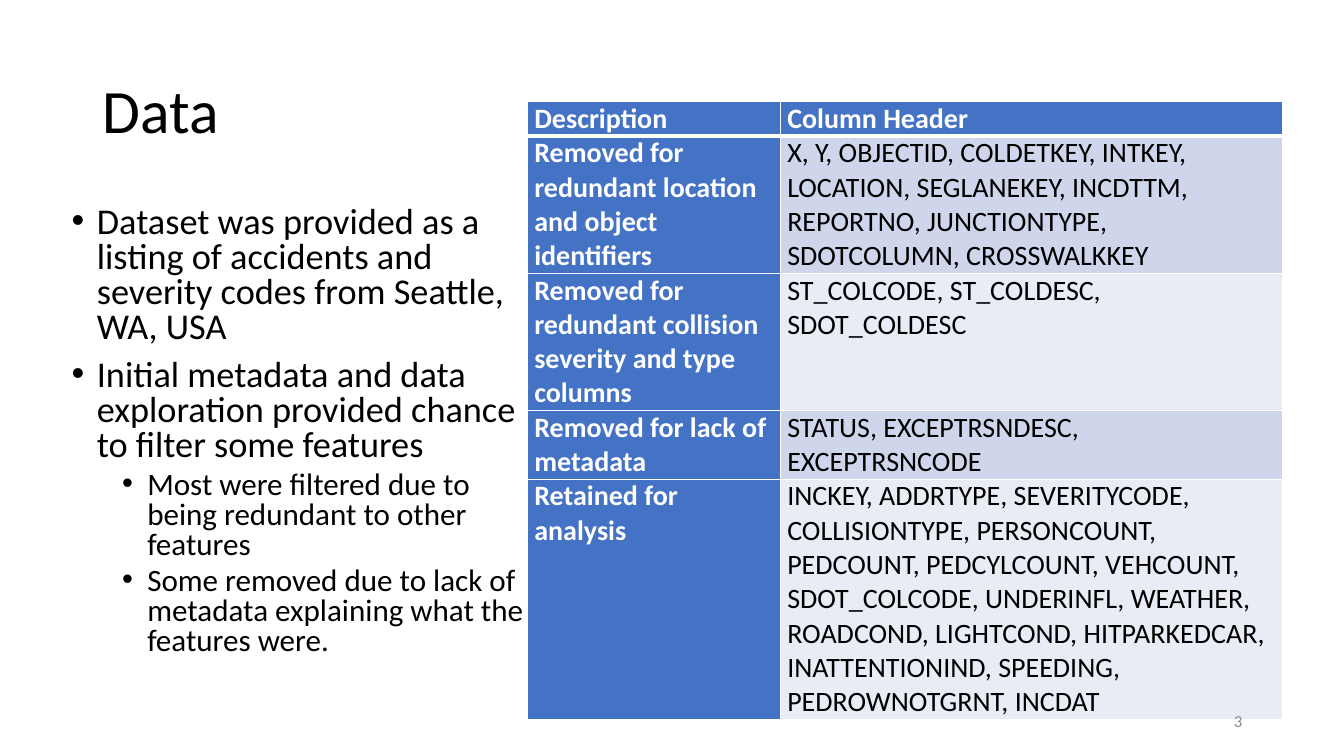
"""Build the slide on the data set and its filtered columns."""
from dataclasses import dataclass

from lxml.etree import SubElement
from pptx import Presentation
from pptx.dml.color import RGBColor
from pptx.enum.text import MSO_ANCHOR, MSO_AUTO_SIZE, PP_ALIGN
from pptx.oxml.ns import qn
from pptx.util import Inches, Pt

SLIDE_WIDTH, SLIDE_HEIGHT = Inches(13.33), Inches(7.5)


@dataclass(frozen=True)
class Theme:
    """Font, colours and type sizes of the slide."""
    font: str = "Calibri"
    ink: str = "000000"
    paper: str = "FFFFFF"
    accent: str = "4472C4"
    bands: tuple[str, str] = ("CFD5EA", "E9EBF5")
    muted: str = "8C8C8C"
    title_size: float = 44
    bullet_sizes: tuple[float, float] = (25.9, 22.2)
    table_size: float = 20
    number_size: float = 12


@dataclass(frozen=True)
class Box:
    """A rectangle in percent of the slide's width and height."""
    left: float
    top: float
    width: float
    height: float

    def lengths(self) -> tuple[int, int, int, int]:
        """Return left, top, width and height as slide lengths."""
        return (int(SLIDE_WIDTH * self.left / 100), int(SLIDE_HEIGHT * self.top / 100),
                int(SLIDE_WIDTH * self.width / 100), int(SLIDE_HEIGHT * self.height / 100))


@dataclass(frozen=True)
class Bullet:
    """A list item and its level."""
    text: str
    level: int = 0


@dataclass(frozen=True)
class Feature:
    """A table row and the number of text lines it holds."""
    description: str
    columns: str
    lines: int


THEME = Theme()
TITLE_BOX = Box(6.9, 5.33, 86.25, 19.33)
BODY_BOX = Box(4.58, 26.67, 35.78, 63.47)
TABLE_BOX = Box(39.23, 13.47, 56.19, 80)
NUMBER_BOX = Box(70.67, 92.67, 22.5, 5.33)
DESCRIPTION_SHARE = 0.335
LINE_HEIGHT = Inches(0.34)

BULLETS = (
    Bullet("Dataset was provided as a listing of accidents and severity codes from Seattle, WA, USA"),
    Bullet("Initial metadata and data exploration provided chance to filter some features"),
    Bullet("Most were filtered due to being redundant to other features", 1),
    Bullet("Some removed due to lack of metadata explaining what the features were.", 1),
)
FEATURES = (
    Feature("Description", "Column Header", 1),
    Feature("Removed for redundant location and object identifiers",
            "X, Y, OBJECTID, COLDETKEY, INTKEY, LOCATION, SEGLANEKEY, INCDTTM, REPORTNO, "
            "JUNCTIONTYPE, SDOTCOLUMN, CROSSWALKKEY", 4),
    Feature("Removed for redundant collision severity and type columns",
            "ST_COLCODE, ST_COLDESC, SDOT_COLDESC", 4),
    Feature("Removed for lack of metadata", "STATUS, EXCEPTRSNDESC, EXCEPTRSNCODE", 2),
    Feature("Retained for analysis",
            "INCKEY, ADDRTYPE, SEVERITYCODE, COLLISIONTYPE, PERSONCOUNT, PEDCOUNT, "
            "PEDCYLCOUNT, VEHCOUNT, SDOT_COLCODE, UNDERINFL, WEATHER, ROADCOND, LIGHTCOND, "
            "HITPARKEDCAR, INATTENTIONIND, SPEEDING, PEDROWNOTGRNT, INCDAT", 7),
)


def write(paragraph, text: str, *, size: float, color: str = THEME.ink, bold: bool = False,
          align: PP_ALIGN = PP_ALIGN.LEFT, line_spacing: float = 1.0, before: float = 0) -> None:
    """Put formatted text into a paragraph."""
    paragraph.alignment = align
    paragraph.line_spacing = line_spacing
    paragraph.space_before = Pt(before)
    paragraph.space_after = Pt(0)
    run = paragraph.add_run()
    run.text = text
    run.font.name = THEME.font
    run.font.size = Pt(size)
    run.font.bold = bold
    run.font.color.rgb = RGBColor.from_string(color)


def place(shape, box: Box) -> None:
    """Move a shape into a box."""
    shape.left, shape.top, shape.width, shape.height = box.lengths()


def add_title(slide) -> None:
    """Fill the title placeholder."""
    title = slide.shapes.title
    place(title, TITLE_BOX)
    title.text_frame.vertical_anchor = MSO_ANCHOR.MIDDLE
    write(title.text_frame.paragraphs[0], "Data", size=THEME.title_size, line_spacing=0.9)


def add_bullets(slide) -> None:
    """Fill the body placeholder with the list."""
    body = slide.placeholders[1]
    place(body, BODY_BOX)
    frame = body.text_frame
    frame.auto_size = MSO_AUTO_SIZE.NONE
    for index, bullet in enumerate(BULLETS):
        paragraph = frame.add_paragraph() if index else frame.paragraphs[0]
        paragraph.level = bullet.level
        write(paragraph, bullet.text, size=THEME.bullet_sizes[bullet.level],
              line_spacing=0.8, before=(10, 5)[bullet.level])
        properties = paragraph._p.get_or_add_pPr()
        properties.set("marL", str(Inches(0.25 + 0.5 * bullet.level)))
        properties.set("indent", str(Inches(-0.25)))
        SubElement(properties, qn("a:buFont")).set("typeface", "Arial")
        SubElement(properties, qn("a:buChar")).set("char", "•")


def add_borders(cell, top: float, bottom: float) -> None:
    """Draw the four borders of a cell, with widths in points."""
    properties = cell._tc.get_or_add_tcPr()
    for side, width in (("L", 1), ("R", 1), ("T", top), ("B", bottom)):
        line = SubElement(properties, qn(f"a:ln{side}"), w=str(Pt(width)))
        fill = SubElement(line, qn("a:solidFill"))
        SubElement(fill, qn("a:srgbClr")).set("val", THEME.paper)


def add_features(slide) -> None:
    """Add the table of removed and retained columns."""
    left, top, width, _ = TABLE_BOX.lengths()
    height = LINE_HEIGHT * sum(feature.lines for feature in FEATURES)
    table = slide.shapes.add_table(len(FEATURES), 2, left, top, width, height).table
    table.columns[0].width = int(width * DESCRIPTION_SHARE)
    table.columns[1].width = width - table.columns[0].width
    table.first_col = True
    for row, feature in enumerate(FEATURES):
        table.rows[row].height = LINE_HEIGHT * feature.lines
        for column, text in enumerate((feature.description, feature.columns)):
            heading = row == 0 or column == 0
            cell = table.cell(row, column)
            cell.margin_left = cell.margin_right = Inches(0.07)
            cell.margin_top = cell.margin_bottom = 0
            add_borders(cell, top=3 if row == 1 else 1, bottom=3 if row == 0 else 1)
            cell.fill.solid()
            cell.fill.fore_color.rgb = RGBColor.from_string(
                THEME.accent if heading else THEME.bands[(row - 1) % 2])
            write(cell.text_frame.paragraphs[0], text, size=THEME.table_size, bold=heading,
                  color=THEME.paper if heading else THEME.ink)


def add_number(slide) -> None:
    """Add the slide number."""
    frame = slide.shapes.add_textbox(*NUMBER_BOX.lengths()).text_frame
    frame.word_wrap = True
    frame.vertical_anchor = MSO_ANCHOR.MIDDLE
    write(frame.paragraphs[0], "3", size=THEME.number_size, color=THEME.muted,
          align=PP_ALIGN.RIGHT)


def main() -> None:
    """Build and save the presentation."""
    presentation = Presentation()
    presentation.slide_width, presentation.slide_height = SLIDE_WIDTH, SLIDE_HEIGHT
    slide = presentation.slides.add_slide(presentation.slide_layouts[1])
    add_title(slide)
    add_bullets(slide)
    add_features(slide)
    add_number(slide)
    presentation.save("out.pptx")


if __name__ == "__main__":
    main()
